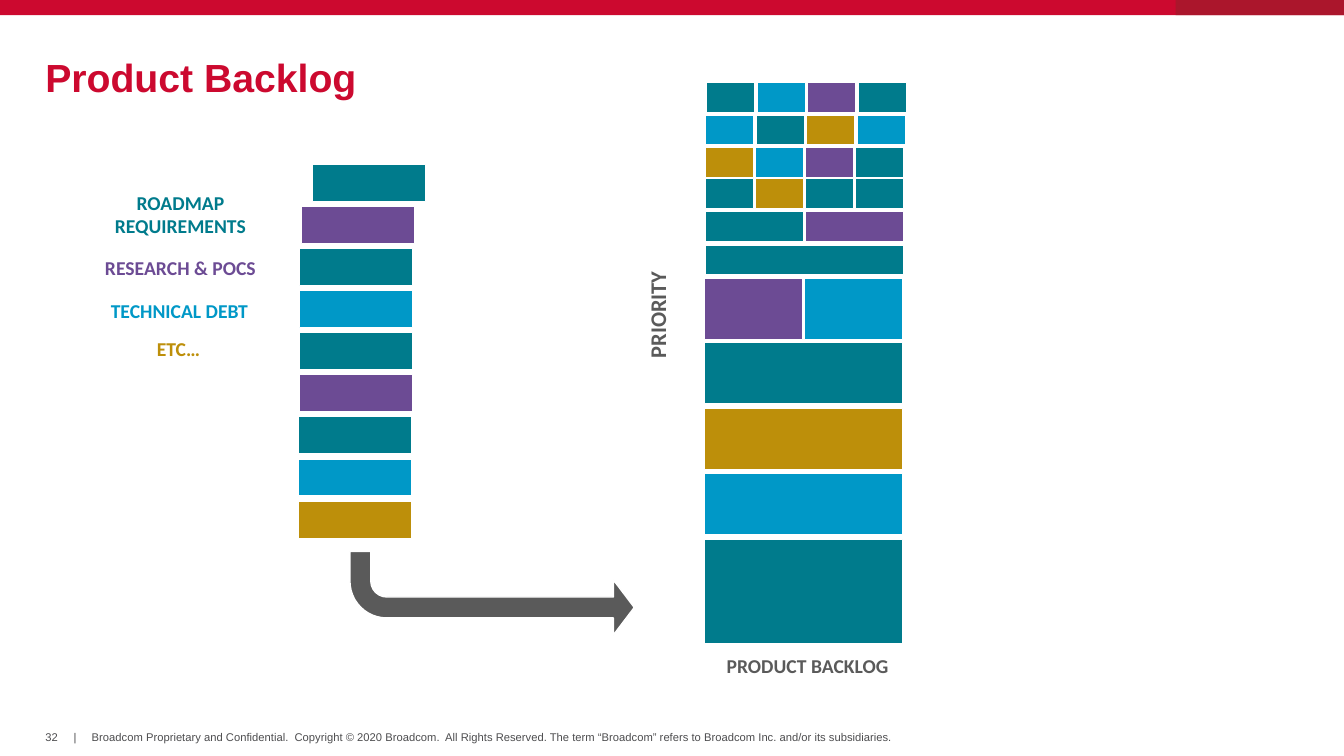
from dataclasses import dataclass

from pptx import Presentation
from pptx.dml.color import RGBColor
from pptx.enum.shapes import MSO_SHAPE
from pptx.enum.text import MSO_ANCHOR, PP_ALIGN
from pptx.util import Inches, Pt

RECT, BENT_ARROW = MSO_SHAPE.RECTANGLE, MSO_SHAPE.BENT_ARROW
LEFT, CENTER = PP_ALIGN.LEFT, PP_ALIGN.CENTER
TOP, MIDDLE, BOTTOM = MSO_ANCHOR.TOP, MSO_ANCHOR.MIDDLE, MSO_ANCHOR.BOTTOM

COLORS = {
    "red": "CC092F",
    "dark red": "AB162C",
    "teal": "007B8C",
    "blue": "0098C7",
    "purple": "6C4B94",
    "gold": "BD8F0A",
    "gray": "5A5A5A",
    "footer": "4D4D4F",
    "white": "FFFFFF",
}


@dataclass
class Label:
    text: str
    left: float
    top: float
    width: float
    height: float
    color: str
    size: int = 14
    font: str = "Calibri"
    bold: bool = True
    align: PP_ALIGN = CENTER
    anchor: MSO_ANCHOR = MIDDLE
    inset: bool = True
    wrap: bool = True
    rotation: int = 0
    spacing: float = 1.0


@dataclass
class BacklogRow:
    left: float
    top: float
    height: float
    colors: list[str]
    width: float = 1.96


@dataclass
class Request:
    left: float
    color: str


FOOTER = dict(color="footer", size=8, font="Arial", bold=False, align=LEFT, inset=False)

LABELS = [
    Label("32", 0.45, 7.25, 0.14, 0.13, **FOOTER),
    Label("|", 0.73, 7.25, 0.03, 0.13, wrap=False, **FOOTER),
    Label("Broadcom Proprietary and Confidential.  Copyright © 2020 Broadcom.  "
          "All Rights Reserved. The term “Broadcom” refers to Broadcom Inc. "
          "and/or its subsidiaries.", 0.91, 7.25, 8.01, 0.13, anchor=TOP, **FOOTER),
    Label("Product Backlog", 0.45, 0.6, 12.43, 0.4, "red", 28, "Arial",
          align=LEFT, inset=False, spacing=0.85),
    Label("ROADMAP REQUIREMENTS", 0.6, 1.84, 2.38, 0.57, "teal"),
    Label("RESEARCH & POCS", 0.6, 2.49, 2.38, 0.34, "purple"),
    Label("TECHNICAL DEBT", 0.59, 2.91, 2.38, 0.34, "blue"),
    Label("ETC…", 0.58, 3.29, 2.38, 0.34, "gold"),
    Label("PRIORITY", 5.98, 2.94, 1.07, 0.37, "gray", 16,
          anchor=BOTTOM, wrap=False, rotation=270),
    Label("PRODUCT BACKLOG", 6.82, 6.43, 2.38, 0.34, "gray"),
]

REQUESTS = [
    Request(3.1, "teal"),
    Request(2.99, "purple"),
    Request(2.97, "teal"),
    Request(2.97, "blue"),
    Request(2.97, "teal"),
    Request(2.97, "purple"),
    Request(2.96, "teal"),
    Request(2.96, "blue"),
    Request(2.96, "gold"),
]
REQUEST_TOP, REQUEST_BOTTOM_TOP = 1.63, 4.97

BACKLOG = [
    BacklogRow(7.01, 0.82, 0.3, ["teal", "blue", "purple", "teal"], 1.98),
    BacklogRow(7, 1.14, 0.3, ["blue", "teal", "gold", "blue"], 1.98),
    BacklogRow(7, 1.46, 0.3, ["gold", "blue", "purple", "teal"]),
    BacklogRow(7, 1.77, 0.3, ["teal", "gold", "teal", "teal"]),
    BacklogRow(7, 2.1, 0.3, ["teal", "purple"]),
    BacklogRow(7, 2.43, 0.3, ["teal"]),
    BacklogRow(6.99, 2.76, 0.61, ["purple", "blue"]),
    BacklogRow(6.99, 3.4, 0.61, ["teal"]),
    BacklogRow(6.99, 4.05, 0.61, ["gold"]),
    BacklogRow(6.99, 4.7, 0.61, ["blue"]),
    BacklogRow(6.99, 5.35, 1.04, ["teal"]),
]
CELL_GAP = 0.02


def rgb(name: str) -> RGBColor:
    return RGBColor.from_string(COLORS[name])


def add_block(s, left: float, top: float, width: float, height: float,
              color: str, kind: MSO_SHAPE = RECT, outlined: bool = True):
    sp = s.shapes.add_shape(kind, Inches(left), Inches(top), Inches(width), Inches(height))
    sp.shadow.inherit = False
    sp.fill.solid()
    sp.fill.fore_color.rgb = rgb(color)
    if outlined:
        sp.line.color.rgb = rgb("white")
        sp.line.width = Pt(1)
    else:
        sp.line.fill.background()
    return sp


def add_label(s, label: Label) -> None:
    sp = s.shapes.add_textbox(Inches(label.left), Inches(label.top),
                              Inches(label.width), Inches(label.height))
    sp.rotation = label.rotation
    tf = sp.text_frame
    tf.word_wrap = label.wrap
    tf.vertical_anchor = label.anchor
    if not label.inset:
        tf.margin_left = tf.margin_top = tf.margin_right = tf.margin_bottom = 0
    tf.text = label.text
    p = tf.paragraphs[0]
    p.alignment = label.align
    p.line_spacing = label.spacing
    r = p.runs[0]
    r.font.name = label.font
    r.font.size = Pt(label.size)
    r.font.bold = label.bold
    r.font.color.rgb = rgb(label.color)


def add_backlog_row(s, row: BacklogRow) -> None:
    """Split the row's width evenly among its cells."""
    count = len(row.colors)
    width = (row.width - CELL_GAP * (count - 1)) / count
    for i, color in enumerate(row.colors):
        add_block(s, row.left + i * (width + CELL_GAP), row.top, width, row.height, color)


def add_flow_arrow(s) -> None:
    """Draw the arrow that leads down from the requests and right to the backlog."""
    sp = add_block(s, 3.47, 5.47, 2.82, 0.83, "gray", BENT_ARROW)
    for i, value in enumerate([0.25, 0.33, 0.25, 0.44]):
        sp.adjustments[i] = value
    sp.rotation = 180
    sp.element.spPr.xfrm.set("flipH", "1")


def main() -> None:
    prs = Presentation()
    prs.slide_width, prs.slide_height = Inches(13.33), Inches(7.5)
    s = prs.slides.add_slide(prs.slide_layouts[6])

    add_block(s, 0, 0, 13.33, 0.15, "red", outlined=False)
    add_block(s, 11.66, 0, 1.67, 0.15, "dark red", outlined=False)
    for label in LABELS:
        add_label(s, label)

    step = (REQUEST_BOTTOM_TOP - REQUEST_TOP) / (len(REQUESTS) - 1)
    for i, request in enumerate(REQUESTS):
        add_block(s, request.left, REQUEST_TOP + i * step, 1.12, 0.37, request.color)
    add_flow_arrow(s)
    for row in BACKLOG:
        add_backlog_row(s, row)

    prs.save("out.pptx")


if __name__ == "__main__":
    main()
